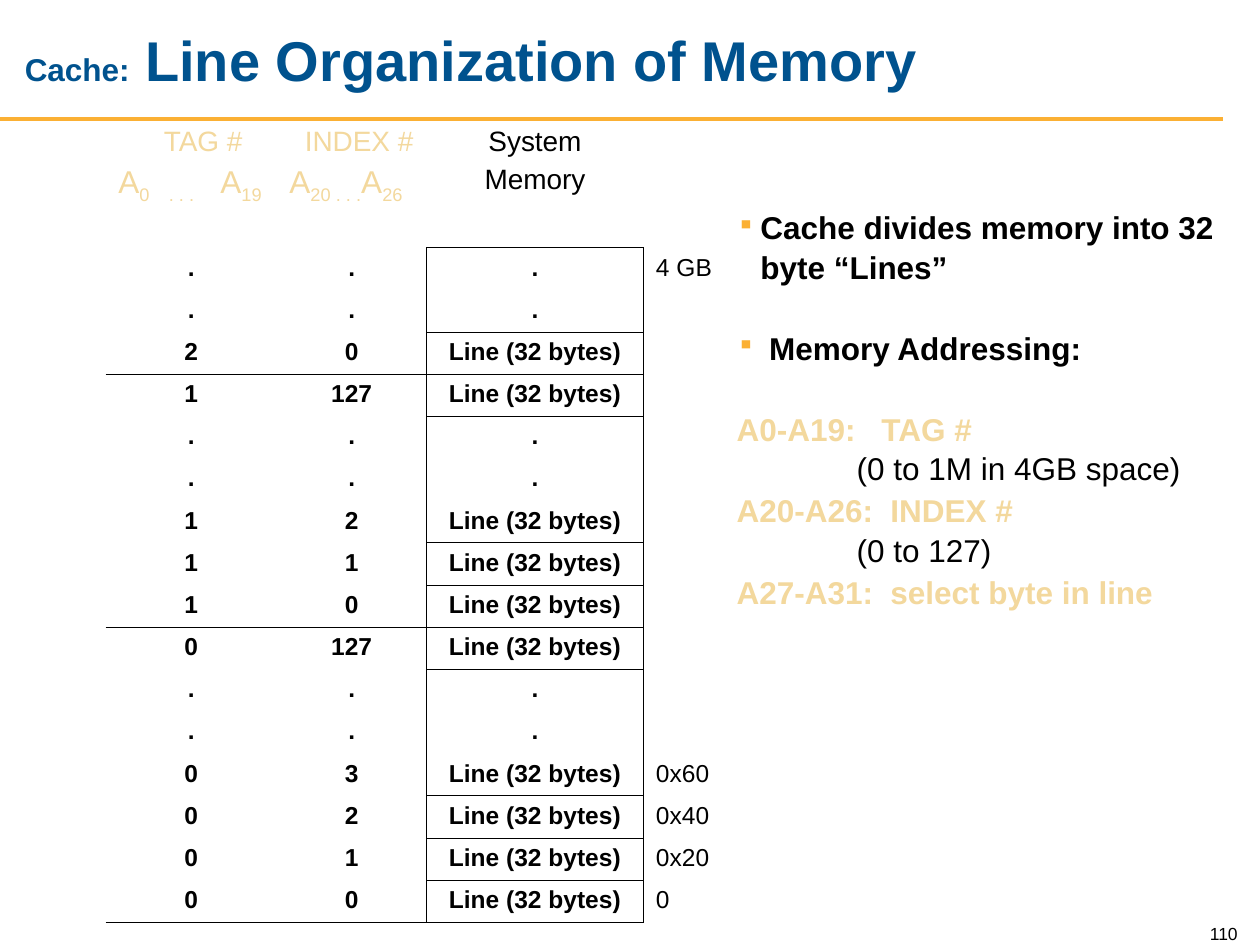
import pptx
import pptx.dml.color
import pptx.enum.shapes
import pptx.enum.text
import pptx.oxml
import pptx.oxml.ns
import pptx.util
from lxml import etree

Cm = pptx.util.Cm
Pt = pptx.util.Pt
ALIGN = pptx.enum.text.PP_ALIGN
ANCHOR = pptx.enum.text.MSO_ANCHOR

COLORS = {
    "blue": "00528E",
    "gold": "FBB034",
    "sand": "F3D89D",
    "black": "000000",
}
FONT = "Arial"
PLAIN = "{2D5ABB26-0587-4C30-8999-92F81FD0307C}"  # table style without grid
LINE = "Line (32 bytes)"

# Tag, index, memory and address of each row, from the top down
ROWS = [
    (".", ".", ".", "4 GB"),
    (".", ".", ".", ""),
    ("2", "0", LINE, ""),
    ("1", "127", LINE, ""),
    (".", ".", ".", ""),
    (".", ".", ".", ""),
    ("1", "2", LINE, ""),
    ("1", "1", LINE, ""),
    ("1", "0", LINE, ""),
    ("0", "127", LINE, ""),
    (".", ".", ".", ""),
    (".", ".", ".", ""),
    ("0", "3", LINE, "0x60"),
    ("0", "2", LINE, "0x40"),
    ("0", "1", LINE, "0x20"),
    ("0", "0", LINE, "0"),
]


def paint(color, name):
    color.rgb = pptx.dml.color.RGBColor.from_string(COLORS[name])


def add_node(parent, tag, **attrs):
    node = etree.SubElement(parent, pptx.oxml.ns.qn(tag))
    for key, value in attrs.items():
        node.set(key, str(value))
    return node


def style(font, size, name="black", bold=False):
    font.name = FONT
    font.size = Pt(size)
    font.bold = bold
    paint(font.color, name)


def indent(para, left, first):
    props = para._p.get_or_add_pPr()
    props.set("marL", str(Cm(left)))
    props.set("indent", str(Cm(first)))


def add_tabs(para, *stops):
    tabs = add_node(para._p.get_or_add_pPr(), "a:tabLst")
    for stop in stops:
        add_node(tabs, "a:tab", pos=Cm(stop), algn="l")


def add_bullet(para):
    props = para._p.get_or_add_pPr()
    color = add_node(props, "a:buClr")
    add_node(color, "a:srgbClr", val=COLORS["gold"])
    add_node(props, "a:buSzPct", val=80000)
    add_node(props, "a:buChar", char="▪")


def add_box(slide, left, top, width, height, anchor=ANCHOR.TOP):
    box = slide.shapes.add_textbox(Cm(left), Cm(top), Cm(width), Cm(height))
    frame = box.text_frame
    frame.word_wrap = True
    frame.vertical_anchor = anchor
    return frame


def add_rule(slide):
    rule = slide.shapes.add_connector(
        pptx.enum.shapes.MSO_CONNECTOR.STRAIGHT,
        Cm(0), Cm(2.39), Cm(24.66), Cm(2.39))
    rule.line.width = Pt(2.25)
    paint(rule.line.color, "gold")
    add_node(rule._element.spPr, "a:effectLst")


def add_title(slide):
    frame = add_box(slide, 0.25, 0.25, 21.74, 1.9, ANCHOR.MIDDLE)
    para = frame.paragraphs[0]
    for text, size in (("Cache:", 18), (" Line Organization of Memory", 32)):
        run = para.add_run()
        run.text = text
        style(run.font, size, "blue", True)


def set_edges(cell, sides):
    props = cell._tc.get_or_add_tcPr()
    for side in "LRTB":
        if side in sides:
            edge = add_node(props, "a:ln" + side, w=Pt(0.45))
            fill = add_node(edge, "a:solidFill")
            add_node(fill, "a:srgbClr", val=COLORS["black"])
    cell.fill.background()


def fill_cell(cell, text, bold):
    if not text:
        cell.margin_top = cell.margin_bottom = 0
        return
    para = cell.text_frame.paragraphs[0]
    para.text = text
    para.alignment = ALIGN.CENTER if bold else ALIGN.LEFT
    style(para.font, 14, bold=bold)


def fill_bits(cell, name, left, parts, stops):
    """Write a field name above its address bits, with the numbers lowered."""
    head = cell.text_frame.paragraphs[0]
    head.text = name
    indent(head, left, 0)
    style(head.font, 16, "sand")
    bits = cell.text_frame.add_paragraph()
    bits.space_before = Pt(4.5)
    add_tabs(bits, *stops)
    for part in parts:
        run = bits.add_run()
        run.text = part
        style(run.font, 18, "sand")
        if part != "A":
            run.font._element.set("baseline", "-25000")


def add_map(slide):
    widths = (3.45, 3.02, 4.37, 2.92)
    frame = slide.shapes.add_table(
        len(ROWS) + 1, len(widths),
        Cm(2.13), Cm(2.41), Cm(sum(widths)), Cm(2.58 + 0.85 * len(ROWS)))
    table = frame.table
    table.first_row = table.horz_banding = False
    table._tbl.tblPr.find(pptx.oxml.ns.qn("a:tableStyleId")).text = PLAIN
    for col, width in zip(table.columns, widths):
        col.width = Cm(width)
    for row in table.rows:
        row.height = Cm(0.85)
    table.rows[0].height = Cm(2.58)

    # Header
    fill_bits(table.cell(0, 0), "TAG #", 0.92,
              ("A", "0\t. . .\t", "A", "19"), (1.02, 2.06))
    fill_bits(table.cell(0, 1), "INDEX #", 0.31,
              ("A", "20 . . .", "A", "26"), ())
    memory = table.cell(0, 2).text_frame
    memory.text = "System\nMemory"
    memory.paragraphs[1].space_before = Pt(4)
    for para in memory.paragraphs:
        para.alignment = ALIGN.CENTER
        style(para.font, 16)
    for col in range(len(widths)):
        set_edges(table.cell(0, col), "B" if col == 2 else "")

    # Body: a rule closes each tag group and each memory line
    for num, row in enumerate(ROWS, 1):
        group = "B" if row[1] == "0" else ""
        closed = "B" if row[2] == LINE or num == 2 else ""
        edges = (group, "R" + group, "LR" + closed, "")
        for col, text in enumerate(row):
            cell = table.cell(num, col)
            fill_cell(cell, text, col < 3)
            set_edges(cell, edges[col])


def add_notes(slide):
    frame = add_box(slide, 14.6, 4.04, 10.44, 7.87)
    # Text, kind, space before, tab stop
    items = (
        ("Cache divides memory into 32 byte “Lines”", "bullet", 0, 0),
        (" Memory Addressing:", "bullet", 23.5, 0),
        ("A0-A19:\tTAG #", "field", 23.5, 2.92),
        ("(0 to 1M in 4GB space)", "range", 0, 0),
        ("A20-A26:\tINDEX #", "field", 1.2, 3.1),
        ("(0 to 127)", "range", 0, 0),
        ("A27-A31:\tselect byte in line", "field", 1.2, 3.1),
    )
    for num, (text, kind, before, stop) in enumerate(items):
        para = frame.add_paragraph() if num else frame.paragraphs[0]
        para.text = text
        para.line_spacing = 1.05
        para.space_before = Pt(before)
        if kind == "bullet":
            indent(para, 0.48, -0.48)
            add_bullet(para)
        elif kind == "range":
            indent(para, 2.42, 0)
        else:
            add_tabs(para, stop)
        style(para.font, 18, "sand" if kind == "field" else "black",
              kind != "range")


def add_number(slide):
    frame = add_box(slide, 23.93, 18.39, 1.27, 0.76, ANCHOR.BOTTOM)
    para = frame.paragraphs[0]
    para.text = "110"
    para.alignment = ALIGN.RIGHT
    style(para.font, 10)


def main():
    deck = pptx.Presentation()
    deck.slide_width, deck.slide_height = Cm(25.4), Cm(19.05)
    slide = deck.slides.add_slide(deck.slide_layouts[6])
    add_rule(slide)
    add_number(slide)
    add_map(slide)
    add_notes(slide)
    add_title(slide)
    deck.save("out.pptx")


if __name__ == "__main__":
    main()
